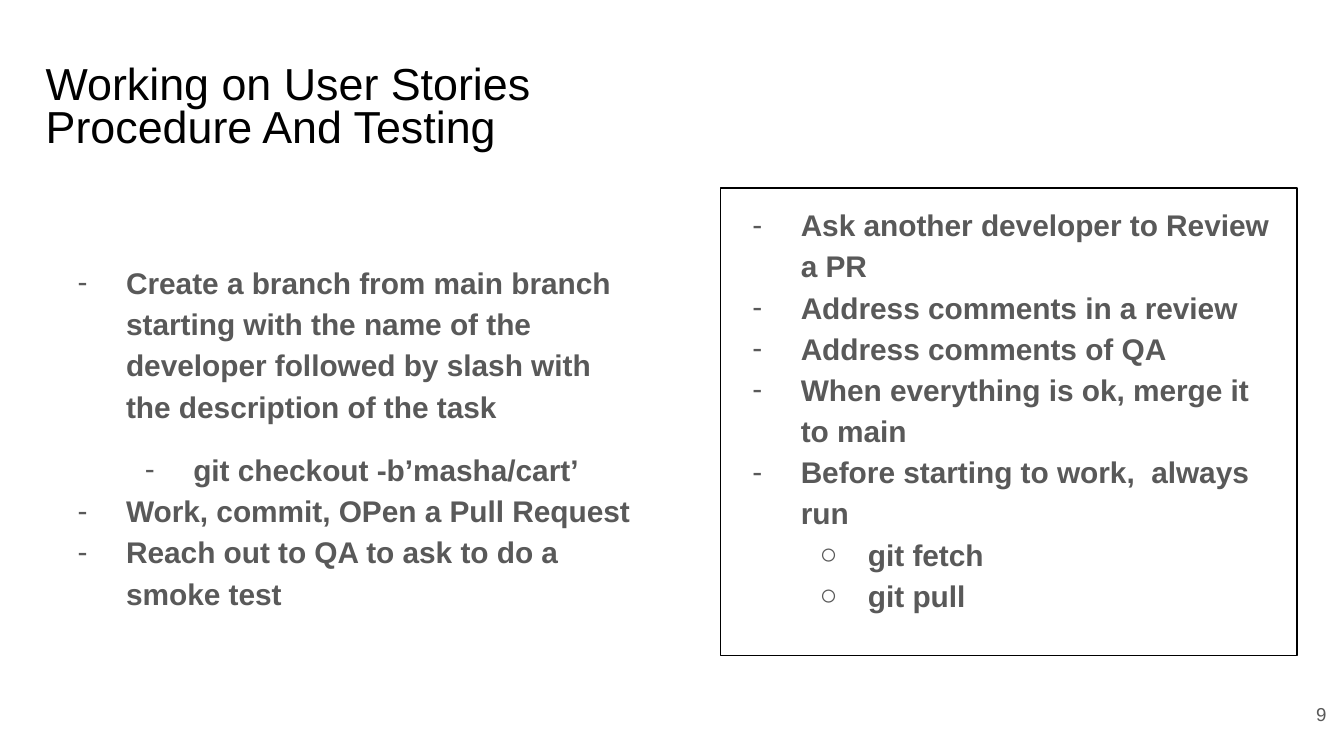
from lxml import etree
from pptx import Presentation
from pptx.dml.color import RGBColor
from pptx.enum.shapes import MSO_SHAPE
from pptx.enum.text import MSO_ANCHOR, PP_ALIGN
from pptx.oxml.ns import qn
from pptx.util import Inches, Pt

RECT = MSO_SHAPE.RECTANGLE
TOP, MIDDLE, BOTTOM = MSO_ANCHOR.TOP, MSO_ANCHOR.MIDDLE, MSO_ANCHOR.BOTTOM
LEFT, RIGHT = PP_ALIGN.LEFT, PP_ALIGN.RIGHT

FONT = "Arial"
COLORS = {"paper": "FFFFFF", "ink": "000000", "gray": "595959"}

# Each item: text, level, bullet, space before in points
STEPS = [
    ("Create a branch from main branch starting with the name of the "
     "developer followed by slash with the description of the task", 0, "-", 0),
    ("git checkout -b’masha/cart’", 1, "-", 12),
    ("Work, commit, OPen a Pull Request", 0, "-", 0),
    ("Reach out to QA to ask to do a smoke test", 0, "-", 0),
]
REVIEW = [
    ("Ask another developer to Review a PR", 0, "-", 0),
    ("Address comments in a review", 0, "-", 0),
    ("Address comments of QA", 0, "-", 0),
    ("When everything is ok, merge it to main", 0, "-", 0),
    ("Before starting to work,  always run", 0, "-", 0),
    ("git fetch", 1, "○", 0),
    ("git pull", 1, "○", 0),
]


def rgb(name):
    return RGBColor.from_string(COLORS[name])


def set_frame(shape, anchor, inset=0, top=None):
    """Set wrapping, anchor and insets; top overrides the upper inset."""
    frame = shape.text_frame
    frame.word_wrap = True
    frame.vertical_anchor = anchor
    frame.margin_left = frame.margin_right = Inches(inset)
    frame.margin_bottom = Inches(inset)
    frame.margin_top = Inches(inset if top is None else top)
    return frame


def add_box(slide, left, top, width, height, line=None):
    box = slide.shapes.add_shape(
        RECT, Inches(left), Inches(top), Inches(width), Inches(height))
    box.shadow.inherit = False
    box.fill.solid()
    box.fill.fore_color.rgb = rgb("paper")
    if line:
        box.line.color.rgb = rgb(line)
        box.line.width = Pt(0.75)
    else:
        box.line.fill.background()
    return box


def write(para, text, size=16, color="gray", bold=False, align=LEFT,
          spacing=1.0, before=0):
    para.alignment = align
    para.line_spacing = spacing
    para.space_before = Pt(before)
    run = para.add_run()
    run.text = text
    run.font.name = FONT
    run.font.size = Pt(size)
    run.font.bold = bold
    run.font.color.rgb = rgb(color)


def add_bullet(para, mark, level):
    para.level = level
    props = para._p.get_or_add_pPr()
    props.set("marL", str(Inches(0.5 * (level + 1))))
    props.set("indent", str(Inches(-0.36)))
    tint = etree.SubElement(props, qn("a:buClr"))
    etree.SubElement(tint, qn("a:srgbClr"), val=COLORS["gray"])
    etree.SubElement(props, qn("a:buFont"), typeface=FONT)
    etree.SubElement(props, qn("a:buChar"), char=mark)


def add_list(slide, items, left, width, line=None, top=0.1):
    box = add_box(slide, left, 1.4, width, 3.48, line)
    frame = set_frame(box, TOP, 0.1, top)
    for i, (text, level, mark, before) in enumerate(items):
        para = frame.add_paragraph() if i else frame.paragraphs[0]
        add_bullet(para, mark, level)
        write(para, text, bold=True, spacing=1.15, before=before)


def add_title(slide, text):
    frame = set_frame(add_box(slide, 0.34, 0.26, 4.37, 0.87), BOTTOM)
    write(frame.paragraphs[0], text, size=24, color="ink", spacing=0.8)


def add_number(slide, text):
    box = slide.shapes.add_textbox(
        Inches(9.27), Inches(5.1), Inches(0.6), Inches(0.43))
    write(set_frame(box, MIDDLE).paragraphs[0], text, size=10, align=RIGHT)


def main():
    deck = Presentation()
    deck.slide_width = Inches(10)
    deck.slide_height = deck.slide_width * 9 // 16
    slide = deck.slides.add_slide(deck.slide_layouts[6])
    add_number(slide, "9")
    add_title(slide, "Working on User Stories Procedure And Testing")
    add_list(slide, STEPS, 0.34, 4.54, top=0.53)
    add_list(slide, REVIEW, 5.36, 4.29, line="ink")
    deck.save("out.pptx")


if __name__ == "__main__":
    main()
